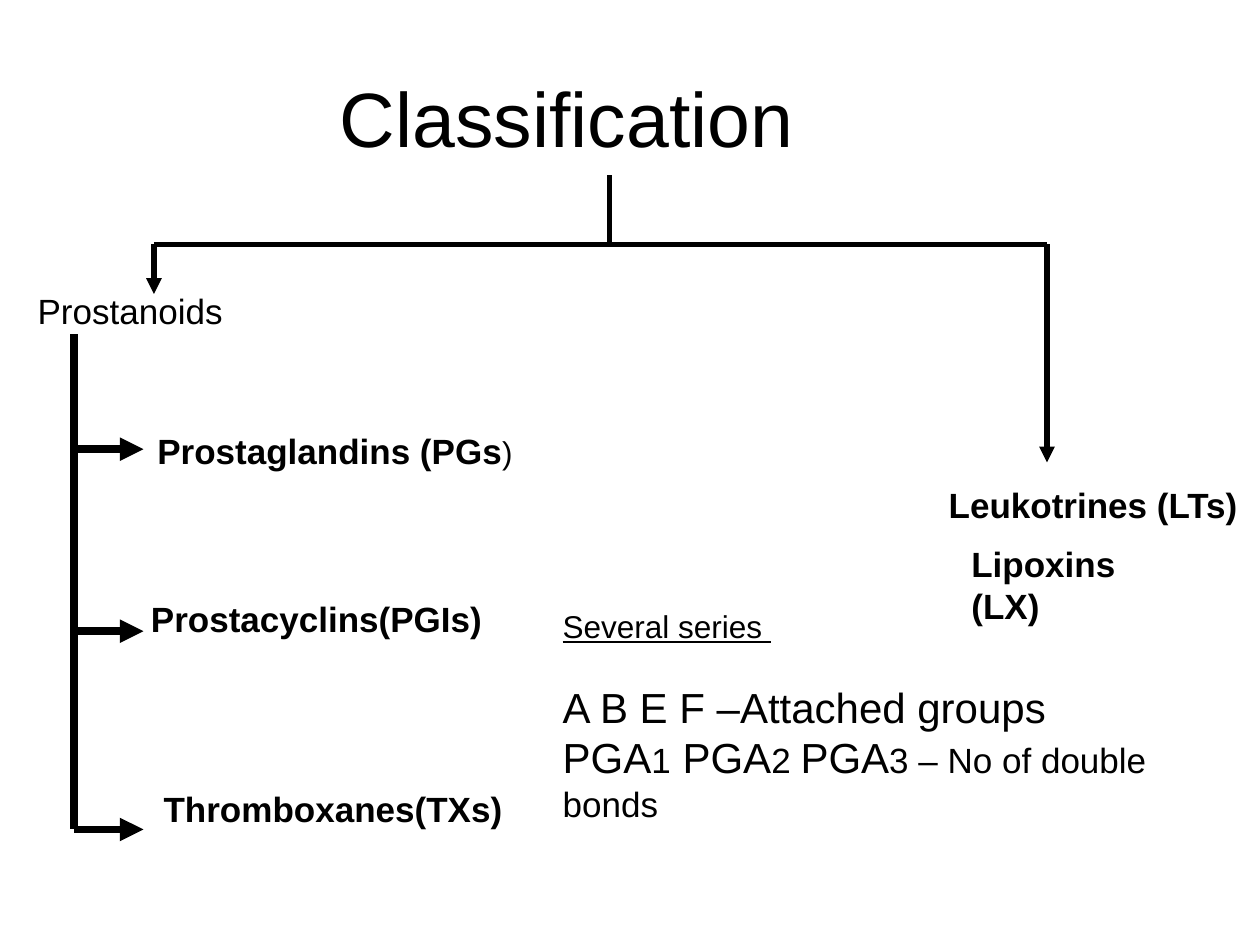
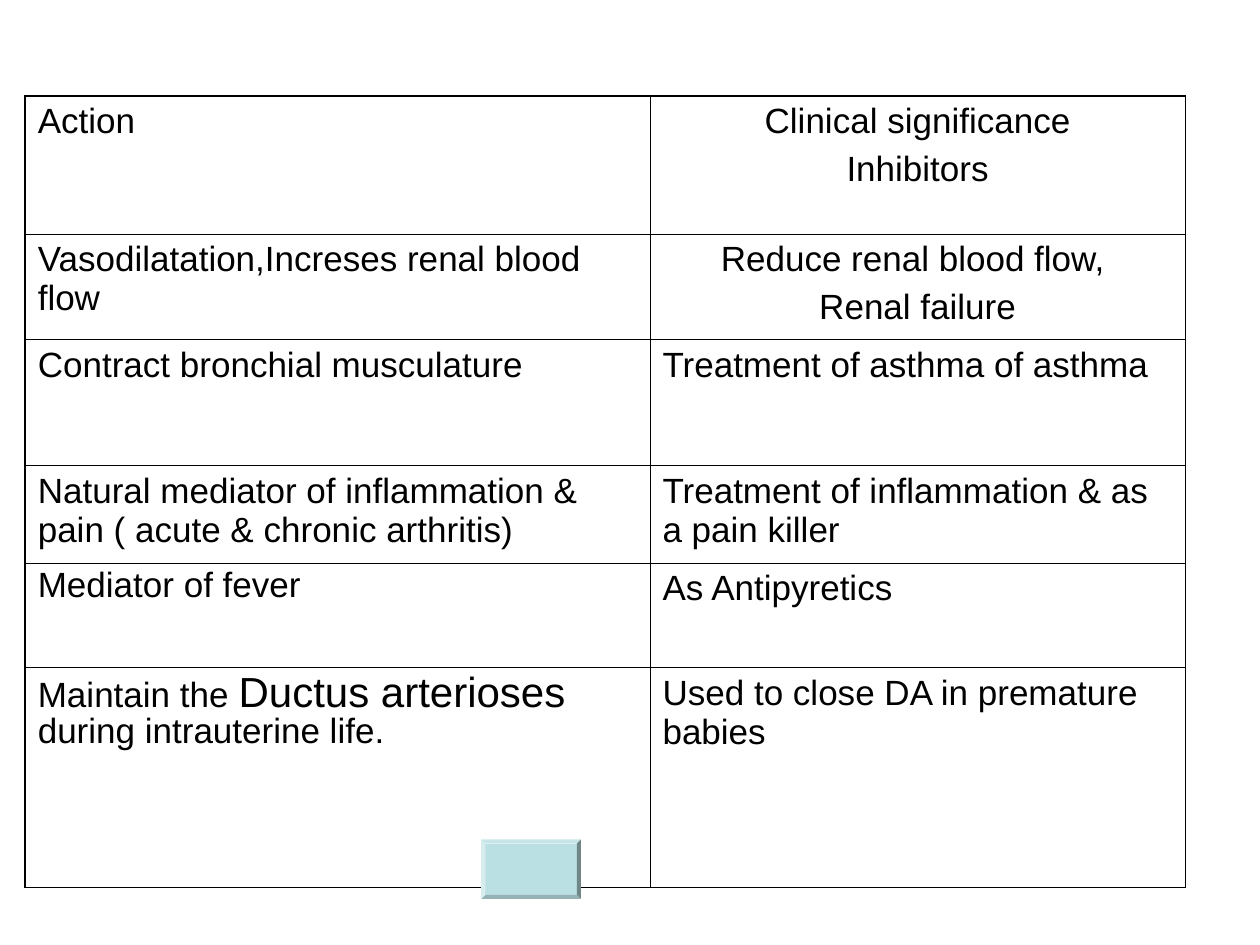
from lxml.etree import SubElement
from pptx import Presentation
from pptx.dml.color import RGBColor
from pptx.enum.shapes import MSO_CONNECTOR as CONN, MSO_SHAPE as SHAPE
from pptx.enum.text import MSO_ANCHOR as ANCHOR, MSO_AUTO_SIZE as AUTO, PP_ALIGN as ALIGN
from pptx.oxml.ns import qn
from pptx.util import Pt

# Shared style
BLACK = RGBColor(0x00, 0x00, 0x00)
TEAL = RGBColor(0xBB, 0xE0, 0xE3)
FONT = "Arial"
BODY = 20
THIN, THICK = 0.45, 1.08


def add_run(p, text, size=BODY, bold=False, underline=False):
    r = p.add_run()
    r.text = text
    r.font.name, r.font.size = FONT, Pt(size)
    r.font.bold, r.font.underline = bold, underline
    r.font.color.rgb = BLACK


def next_paragraph(tf, index):
    return tf.paragraphs[0] if index == 0 else tf.add_paragraph()


def add_box(s, x, y, w, h, wrap=False):
    tf = s.shapes.add_textbox(Pt(x), Pt(y), Pt(w), Pt(h)).text_frame
    tf.word_wrap = wrap
    tf.auto_size = AUTO.SHAPE_TO_FIT_TEXT
    return tf


def add_label(s, x, y, w, text, bold=True):
    p = add_box(s, x, y, w, 31.5).paragraphs[0]
    add_run(p, text, bold=bold)
    return p


def add_title(s, text):
    tf = add_box(s, 0, 21.6, 648, 90, wrap=True)
    tf.auto_size = AUTO.NONE
    tf.vertical_anchor = ANCHOR.MIDDLE
    tf.paragraphs[0].alignment = ALIGN.CENTER
    add_run(tf.paragraphs[0], text, 44)


def add_line(s, x1, y1, x2, y2, width, arrow=False):
    c = s.shapes.add_connector(CONN.STRAIGHT, Pt(x1), Pt(y1), Pt(x2), Pt(y2))
    c.line.color.rgb, c.line.width = BLACK, Pt(width)
    props = c._element.spPr
    if arrow:
        SubElement(props.find(qn("a:ln")), qn("a:tailEnd"), type="triangle")
    SubElement(props, qn("a:effectLst"))


def set_borders(cell, widths):
    props = cell._tc.get_or_add_tcPr()
    for side, width in zip("LRTB", widths):
        ln = SubElement(props, qn(f"a:ln{side}"), w=str(int(Pt(width))))
        fill = SubElement(ln, qn("a:solidFill"))
        SubElement(fill, qn("a:srgbClr"), val=str(BLACK))


def fill_cell(cell, paragraphs, align, spacing):
    cell.margin_left = cell.margin_right = Pt(7.2)
    cell.margin_top = cell.margin_bottom = Pt(3.6)
    for i, runs in enumerate(paragraphs):
        p = next_paragraph(cell.text_frame, i)
        p.alignment = align
        if spacing:
            p.line_spacing = spacing
        if i:
            p.space_before = Pt(5)
        for run in runs:
            add_run(p, *run)


def add_grid(s, x, y, col_widths, row_heights, rows):
    n_rows, n_cols = len(row_heights), len(col_widths)
    table = s.shapes.add_table(n_rows, n_cols, Pt(x), Pt(y), Pt(sum(col_widths)),
                               Pt(sum(row_heights))).table
    table.first_row = table.horz_banding = False
    for col, width in zip(table.columns, col_widths):
        col.width = Pt(width)
    for row, height in zip(table.rows, row_heights):
        row.height = Pt(height)
    for i, row in enumerate(rows):
        for j, (paragraphs, align, spacing) in enumerate(row):
            cell = table.cell(i, j)
            fill_cell(cell, paragraphs, align, spacing)
            # The outer frame is thicker than the inner rules
            outer = (j == 0, j == n_cols - 1, i == 0, i == n_rows - 1)
            set_borders(cell, [THICK if edge else THIN for edge in outer])
            cell.fill.background()


def text_cell(*lines, spacing=None):
    align = ALIGN.CENTER if len(lines) > 1 else ALIGN.LEFT
    return [[(line,)] for line in lines], align, spacing


def add_bevel(s, x, y, w, h):
    sp = s.shapes.add_shape(SHAPE.BEVEL, Pt(x), Pt(y), Pt(w), Pt(h))
    sp.shadow.inherit = False
    sp.adjustments[0] = 0.07
    sp.fill.solid()
    sp.fill.fore_color.rgb = TEAL
    sp.line.fill.background()


def build_classification(s):
    add_title(s, "Classification")

    # The two main groups
    add_label(s, 14.4, 162, 120, "Prostanoids", bold=False)
    add_label(s, 535, 273, 182, "Leukotrines (LTs)")
    add_label(s, 548, 306.7, 141, "Lipoxins (LX)")

    # Prostanoid families
    p = add_label(s, 82.8, 242, 217.5, "Prostaglandins (PGs")
    add_run(p, ")", 18)
    add_label(s, 79.2, 337.7, 203.8, "Prostacyclins(PGIs)")
    add_label(s, 86.4, 446.4, 208, "Thromboxanes(TXs)")

    # Prostanoid trunk and its branches
    trunk, bottom = 42.5, 474
    add_line(s, trunk, 191, trunk, bottom, 4.5)
    for y in (256.7, 360.7, bottom):
        add_line(s, trunk, y, 82, y, 4.5, arrow=True)

    # Fork below the title
    left, right, stem, fork = 88, 598.3, 348.5, 139.7
    add_line(s, left, fork, right, fork, 3)
    add_line(s, left, fork, left, 168, 3, arrow=True)
    add_line(s, right, fork, right, 264.3, 3, arrow=True)
    add_line(s, stem, fork, stem, 100, 3)

    # Naming of the series
    tf = add_box(s, 314.5, 343.5, 357, 161, wrap=True)
    series = [
        [("Several series ", 18, False, True)],
        [("A B E F –Attached groups", 24)],
        [("PGA", 24), ("1", 20), (" PGA", 24), ("2 ", 20), ("PGA", 24),
         ("3 – No of double bonds", 20)],
    ]
    for i, runs in enumerate(series):
        p = next_paragraph(tf, i)
        if i == 1:
            p.space_before = Pt(20.7)
        for run in runs:
            add_run(p, *run)


def build_actions(s):
    ductus = [[("Maintain the ",), ("Ductus arterioses", 24),
               (" during intrauterine life.",)]]
    rows = [
        (text_cell("Action"), text_cell("Clinical significance", "Inhibitors")),
        (text_cell("Vasodilatation,Increses renal blood flow"),
         text_cell("Reduce renal blood flow, ", "Renal failure")),
        (text_cell("Contract bronchial musculature"),
         text_cell("Treatment of asthma of asthma")),
        (text_cell("Natural mediator of inflammation & pain ( acute & chronic arthritis)"),
         text_cell("Treatment of inflammation & as a pain killer")),
        (text_cell("Mediator of fever", spacing=0.9), text_cell("As Antipyretics")),
        ((ductus, ALIGN.LEFT, 0.9), text_cell("Used to close DA in premature babies")),
    ]
    add_grid(s, 14.4, 54.7, [357, 306], [79, 60.5, 72, 55.5, 59.5, 126], rows)
    add_bevel(s, 275, 479.7, 57, 34)


def main():
    prs = Presentation()
    prs.slide_width, prs.slide_height = Pt(720), Pt(540)
    for build in (build_classification, build_actions):
        build(prs.slides.add_slide(prs.slide_layouts[6]))
    prs.save("out.pptx")


if __name__ == "__main__":
    main()
